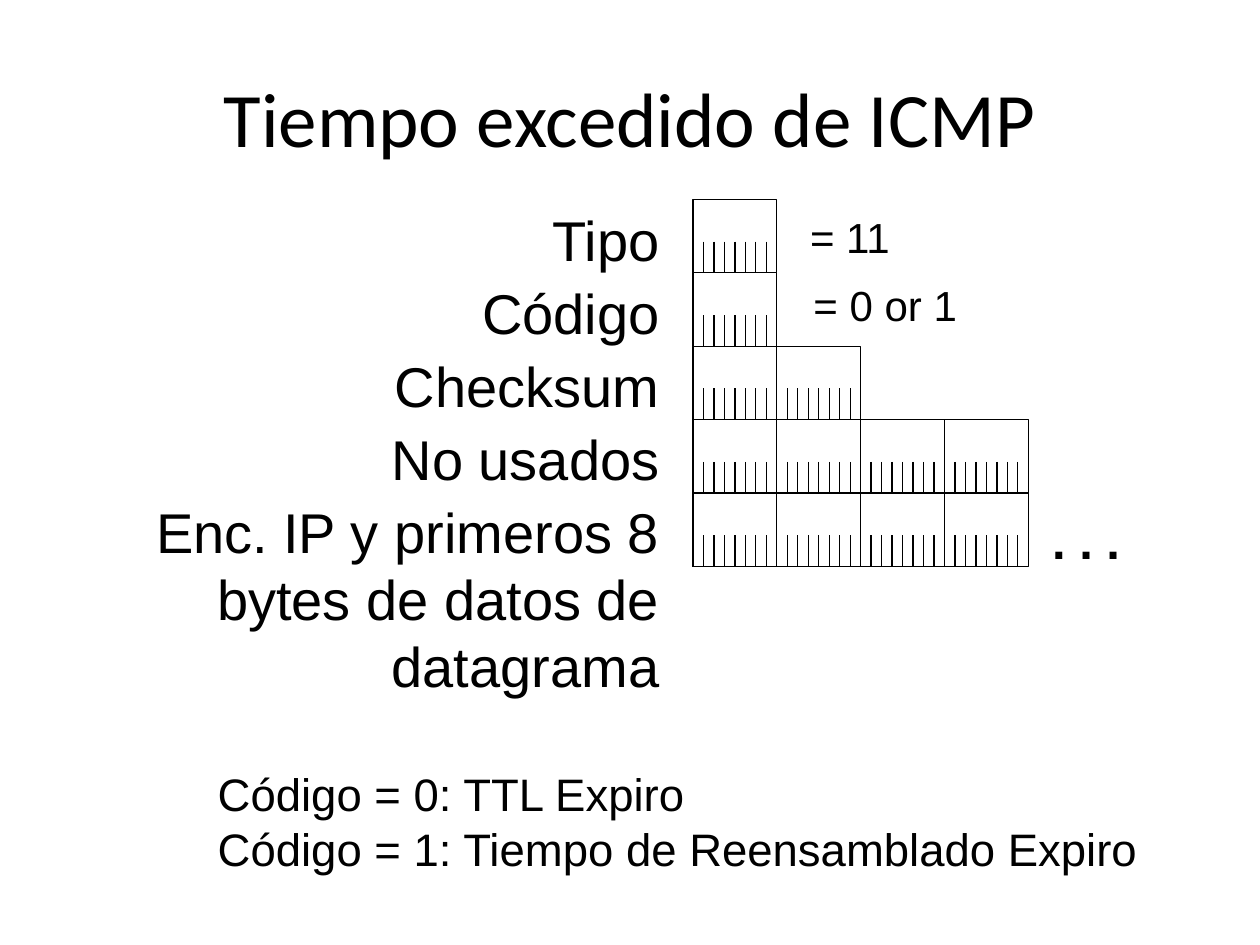
from pptx import Presentation
from pptx.dml.color import RGBColor as Rgb
from pptx.enum.shapes import MSO_CONNECTOR as Conn, MSO_SHAPE as Shape
from pptx.enum.text import MSO_ANCHOR as Anchor, PP_ALIGN as Align
from pptx.oxml.ns import qn
from pptx.util import Cm, Pt
from lxml import etree

HUES = {"ink": "000000", "paper": "FFFFFF"}
LEFT, TOP = 13.97, 4.02      # corner of the byte grid
WIDE, HIGH = 1.69, 1.48      # one byte
TICK = 0.85                  # drop from byte top to its bit marks
BITS = 8
ROWS = [1, 1, 2, 4, 4]       # bytes in each field


def hue(name):
    return Rgb.from_string(HUES[name])


def write(frame, text, size=24, font="Arial", bold=False, align=Align.LEFT,
          lead=None, gap=0):
    """Fill a frame, one paragraph for each line of text."""
    for i, line in enumerate(text.split("\n")):
        para = frame.paragraphs[0] if i == 0 else frame.add_paragraph()
        para.alignment = align
        para.space_before = Pt(gap if i else 0)
        if lead:
            para.line_spacing = Pt(lead)
        run = para.add_run()
        run.text = line
        run.font.name, run.font.size, run.font.bold = font, Pt(size), bold
        run.font.color.rgb = hue("ink")


class Page:
    def __init__(self, slide, ink="ink", fill="paper", line=0.75):
        self.slide = slide
        self.ink, self.fill, self.line = ink, fill, line

    def pen(self, item):
        item.line.color.rgb = hue(self.ink)
        item.line.width = Pt(self.line)

    def label(self, x, y, w, h, text, wrap=False, anchor=Anchor.TOP,
              pad=(0.25, 0.13), **form):
        box = self.slide.shapes.add_textbox(Cm(x), Cm(y), Cm(w), Cm(h))
        frame = box.text_frame
        frame.word_wrap, frame.vertical_anchor = wrap, anchor
        frame.margin_left = frame.margin_right = Cm(pad[0])
        frame.margin_top = frame.margin_bottom = Cm(pad[1])
        write(frame, text, **form)

    def mark(self, group, x, top, end):
        line = group.shapes.add_connector(
            Conn.STRAIGHT, Cm(x), Cm(top), Cm(x), Cm(end))
        self.pen(line)
        etree.SubElement(line._element.spPr, qn("a:effectLst"))

    def byte(self, x, y):
        group = self.slide.shapes.add_group_shape()
        box = group.shapes.add_shape(
            Shape.RECTANGLE, Cm(x), Cm(y), Cm(WIDE), Cm(HIGH))
        box.shadow.inherit = False
        box.fill.solid()
        box.fill.fore_color.rgb = hue(self.fill)
        self.pen(box)
        for bit in range(BITS):
            self.mark(group, x + bit * WIDE / BITS, y + TICK, y + HIGH)


def main():
    deck = Presentation()
    deck.slide_width, deck.slide_height = Cm(25.4), Cm(19.05)
    page = Page(deck.slides.add_slide(deck.slide_layouts[6]))

    # Title
    page.label(1.27, 0.76, 22.86, 3.18, "Tiempo excedido de ICMP", wrap=True,
               anchor=Anchor.MIDDLE, size=44, font="Calibri",
               align=Align.CENTER)

    # Field names
    page.label(0, TOP, 13.55, 10.29,
               "Tipo\nCódigo\nChecksum\nNo usados\n"
               "Enc. IP y primeros 8 bytes de datos de datagrama",
               wrap=True, size=32, align=Align.RIGHT, lead=38.4, gap=3.2)

    # Bytes of each field
    for row, count in enumerate(ROWS):
        for col in range(count):
            page.byte(LEFT + col * WIDE, TOP + row * HIGH)

    # Values beside the fields
    page.label(16.08, 4.14, 2.18, 1.27, "= 11", lead=28.8)
    page.label(16.15, 5.51, 3.4, 1.27, "= 0 or 1", lead=28.8)
    page.label(20.96, 10.16, 1.88, 1.45, ". . .", size=28, bold=True,
               lead=33.6)

    # Code meanings
    page.label(4.01, 15.24, 19.38, 2.59,
               "Código = 0: TTL Expiro\n"
               "Código = 1: Tiempo de Reensamblado Expiro",
               pad=(0.38, 0.2), size=26, lead=31.2)

    deck.save("out.pptx")


if __name__ == "__main__":
    main()
